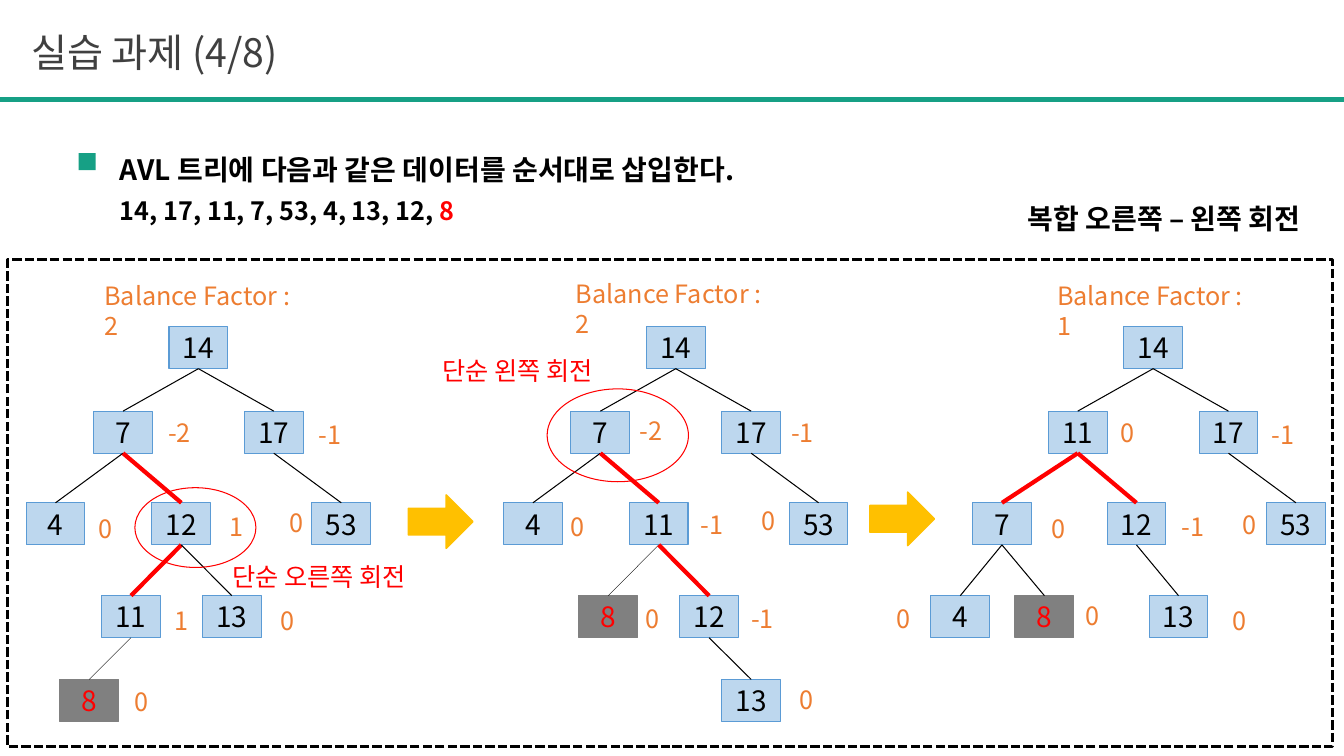
from lxml import etree
from pptx import Presentation
from pptx.dml.color import RGBColor
from pptx.enum.dml import MSO_LINE
from pptx.enum.shapes import MSO_CONNECTOR, MSO_SHAPE
from pptx.enum.text import MSO_ANCHOR, MSO_AUTO_SIZE, PP_ALIGN
from pptx.oxml.ns import qn
from pptx.util import Cm, Pt

RECT, OVAL, ARROW = MSO_SHAPE.RECTANGLE, MSO_SHAPE.OVAL, MSO_SHAPE.RIGHT_ARROW
LINE, DASH = MSO_CONNECTOR.STRAIGHT, MSO_LINE.SQUARE_DOT
MIDDLE, TOP = MSO_ANCHOR.MIDDLE, MSO_ANCHOR.TOP
LEFT, CENTER = PP_ALIGN.LEFT, PP_ALIGN.CENTER
FIXED = MSO_AUTO_SIZE.NONE

BLACK = RGBColor(0, 0, 0)
WHITE = RGBColor(255, 255, 255)
RED = RGBColor(255, 0, 0)
DARK = RGBColor(0x40, 0x40, 0x40)
GRAY = RGBColor(0x80, 0x80, 0x80)
GREEN = RGBColor(0x16, 0xA0, 0x85)
PALE = RGBColor(0xBD, 0xD7, 0xEE)
BLUE = RGBColor(0x5B, 0x9B, 0xD5)
ORANGE = RGBColor(0xED, 0x7D, 0x31)
GOLD = RGBColor(0xFF, 0xC0, 0x00)

FONT = "Noto Sans CJK KR"
WIDE, HIGH = 1.48, 1.06
LEVELS = (8.23, 10.36, 12.67, 15.01, 17.12)
ROOT, STEP = 5.0, 12.03
NEW = "8"

# Node: key, offset from root, level, parent, edge weight, factor, its offset
TREES = (
    ("Balance Factor : 2", -2.62, 6.93, (
        ("7", -1.9, 1, "14", 0.75, "-2", 0.89, 0.03),
        ("17", 1.9, 1, "14", 0.75, "-1", 0.89, 0.08),
        ("4", -3.6, 2, "7", 0.75, "0", 0.84, 0.15),
        ("12", -0.43, 2, "7", 3, "1", 0.97, 0.08),
        ("53", 3.6, 2, "17", 0.75, "0", -1.55, 0),
        ("11", -1.7, 3, "12", 3, "1", 0.84, 0.13),
        ("13", 0.84, 3, "12", 0.75, "0", 0.97, 0.13),
        ("8", -2.75, 4, "11", 0.25, "0", 0.89, 0.05))),
    ("Balance Factor : 2", -2.77, 6.88, (
        ("7", -1.9, 1, "14", 0.75, "-2", 0.74, -0.03),
        ("17", 1.9, 1, "14", 0.75, "-1", 0.76, 0.03),
        ("4", -3.6, 2, "7", 0.75, "0", 0.69, 0.1),
        ("11", -0.43, 2, "7", 3, "-1", 0.81, 0.03),
        ("53", 3.6, 2, "17", 0.75, "0", -1.7, -0.05),
        ("8", -1.7, 3, "11", 0.25, "0", 0.69, 0.08),
        ("12", 0.84, 3, "11", 3, "-1", 0.81, 0.08),
        ("13", 1.9, 4, "12", 0.75, "0", 0.97, 0))),
    ("Balance Factor : 1", -2.67, 6.93, (
        ("11", -1.9, 1, "14", 0.75, "0", 0.84, 0.03),
        ("17", 1.9, 1, "14", 0.75, "-1", 0.84, 0.08),
        ("7", -3.81, 2, "11", 3, "0", 0.99, 0.15),
        ("12", -0.42, 2, "11", 3, "-1", 0.89, 0.08),
        ("53", 3.6, 2, "17", 0.75, "0", -1.6, 0.03),
        ("4", -4.86, 3, "7", 0.75, "0", -1.85, 0.08),
        ("8", -2.74, 3, "7", 0.75, "0", 0.79, 0),
        ("13", 0.64, 3, "12", 0.75, "0", 1.12, 0.13))),
)


def style(run, size, color, bold=False):
    """Set the font of one run for Latin and Korean letters."""
    font = run.font
    font.name, font.size, font.bold = FONT, Pt(size), bold
    font.color.rgb = color
    etree.SubElement(font._element, qn("a:ea")).set("typeface", FONT)


def place(shape, x, y, w, h):
    """Move and size a shape in centimetres."""
    shape.left, shape.top, shape.width, shape.height = map(Cm, (x, y, w, h))


def label(slide, text, x, y, w, size, color, bold=False):
    """Add a left-aligned text box."""
    box = slide.shapes.add_textbox(Cm(x), Cm(y), Cm(w), Cm(1.02))
    frame = box.text_frame
    frame.word_wrap = True
    frame.text = text
    style(frame.paragraphs[0].runs[0], size, color, bold)
    return box


def figure(slide, kind, x, y, w, h, fill=None, edge=None, weight=0.75):
    """Add a preset shape with optional fill and outline."""
    shape = slide.shapes.add_shape(kind, Cm(x), Cm(y), Cm(w), Cm(h))
    shape.shadow.inherit = False
    if fill is None:
        shape.fill.background()
    else:
        shape.fill.solid()
        shape.fill.fore_color.rgb = fill
    if edge is None:
        shape.line.fill.background()
    else:
        shape.line.color.rgb = edge
        shape.line.width = Pt(weight)
    return shape


def link(slide, start, end, color, weight):
    """Draw a straight line between two points."""
    line = slide.shapes.add_connector(LINE, *map(Cm, (*start, *end)))
    line.line.color.rgb = color
    line.line.width = Pt(weight)
    etree.SubElement(line._element.spPr, qn("a:effectLst"))


def node(slide, key, x, y):
    """Draw a tree node centred on x, gray when newly added."""
    new = key == NEW
    fill, edge, color = (GRAY, GRAY, RED) if new else (PALE, BLUE, BLACK)
    box = figure(slide, RECT, x - WIDE / 2, y, WIDE, HIGH, fill, edge)
    frame = box.text_frame
    frame.word_wrap = False
    frame.vertical_anchor = MIDDLE
    frame.text = key
    frame.paragraphs[0].alignment = CENTER
    style(frame.paragraphs[0].runs[0], 20, color)


def tree(slide, root, title, dx, top, nodes):
    """Draw one tree with its edges and balance factors."""
    spots = {"14": (root, LEVELS[0])}
    node(slide, "14", *spots["14"])
    for key, shift, level, parent, weight, factor, fx, fy in nodes:
        x, y = spots[key] = root + shift, LEVELS[level]
        px, py = spots[parent]
        node(slide, key, x, y)
        color = RED if weight == 3 else BLACK
        link(slide, (px, py + HIGH), (x, y), color, weight)
        width = 0.6 + 0.28 * len(factor)
        label(slide, factor, x + fx, y + fy, width, 18, ORANGE)
    label(slide, title, root + dx, top, 5.5, 18, ORANGE)


def head(slide):
    """Fill the title and the task text."""
    title, body = slide.placeholders
    place(title, 0.53, 0.58, 25.78, 1.45)
    title.text_frame.text = "실습 과제 (4/8)"
    title.text_frame.vertical_anchor = MIDDLE
    title.text_frame.paragraphs[0].alignment = LEFT
    style(title.text_frame.paragraphs[0].runs[0], 28, DARK)
    place(body, 2.77, 3.71, 18, 2.4)
    frame = body.text_frame
    frame.text = "AVL 트리에 다음과 같은 데이터를 순서대로 삽입한다."
    frame.vertical_anchor = TOP
    data = frame.add_paragraph()
    data.text = "14, 17, 11, 7, 53, 4, 13, 12, "
    data.add_run().text = NEW
    for line, size, gap in zip(frame.paragraphs, (20, 18), (0, 7)):
        line.space_before = Pt(gap)
        props = line._p.get_or_add_pPr()
        props.set("marL", "0")
        props.set("indent", "0")
        etree.SubElement(props, qn("a:buNone"))
        for run in line.runs:
            style(run, size, RED if run.text == NEW else BLACK, True)
    for item in (title, body):
        item.text_frame.auto_size = FIXED
    link(slide, (0, 2.51), (33.87, 2.51), GREEN, 3)
    figure(slide, RECT, 1.98, 3.86, 0.43, 0.43, GREEN)


def main():
    """Build the AVL rotation slide."""
    deck = Presentation()
    deck.slide_width, deck.slide_height = Cm(33.87), Cm(19.05)
    slide = deck.slides.add_slide(deck.slide_layouts[1])
    head(slide)
    for i, spec in enumerate(TREES):
        tree(slide, ROOT + i * STEP, *spec)
    figure(slide, OVAL, 3.4, 12.29, 3.05, 2.01, None, RED)
    figure(slide, OVAL, 13.79, 9.8, 3.56, 2.34, None, RED)
    for x, y in ((10.29, 12.47), (21.92, 12.4)):
        figure(slide, ARROW, x, y, 1.63, 1.35, GOLD, GOLD, 1)
    label(slide, "단순 오른쪽 회전", 5.61, 14.02, 5.46, 18, RED)
    label(slide, "단순 왼쪽 회전", 10.9, 8.84, 4.83, 18, RED)
    frame = figure(slide, RECT, 0.2, 6.55, 33.38, 12.27, None, BLACK, 2.25)
    frame.line.dash_style = DASH
    note = label(slide, "복합 오른쪽 – 왼쪽 회전", 25.65, 4.95, 8.13, 20, BLACK, True)
    note.fill.solid()
    note.fill.fore_color.rgb = WHITE
    deck.save("out.pptx")


main()
